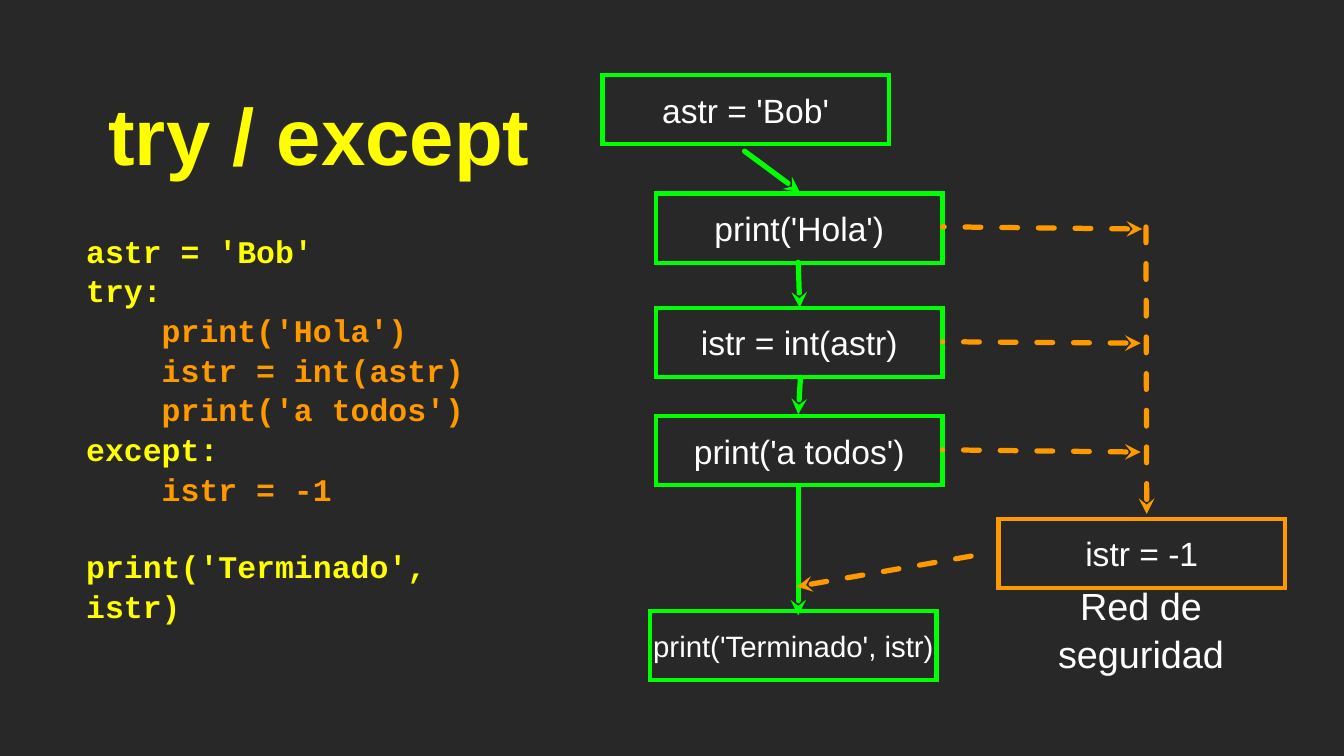
from lxml import etree
from pptx import Presentation
from pptx.dml.color import RGBColor
from pptx.enum.dml import MSO_LINE
from pptx.enum.shapes import MSO_CONNECTOR, MSO_SHAPE
from pptx.enum.text import MSO_ANCHOR, PP_ALIGN
from pptx.oxml.ns import qn
from pptx.util import Inches, Pt

RECT, LINE = MSO_SHAPE.RECTANGLE, MSO_CONNECTOR.STRAIGHT
DASH, MID = MSO_LINE.DASH, MSO_ANCHOR.MIDDLE
LEFT, MIDDLE = PP_ALIGN.LEFT, PP_ALIGN.CENTER

HUES = {"back": "282828", "head": "FFFF00", "flow": "00FF00",
        "net": "FF9900", "text": "FFFFFF"}
WIDE, HIGH = 177.8, 100  # grid columns and rows
STEP = (37.9, 9.2)       # size of every flow chart step

CODE = [
    ("astr = 'Bob'", "head"),
    ("try:", "head"),
    ("    print('Hola')", "net"),
    ("    istr = int(astr)", "net"),
    ("    print('a todos')", "net"),
    ("except:", "head"),
    ("    istr = -1", "net"),
    ("print('Terminado', istr)", "head"),
]


def grid(n):
    """Length of n grid cells, each a tenth of an inch."""
    return Inches(n / 10)


def hue(name):
    return RGBColor.from_string(HUES[name])


def style(para, size, color, align=MIDDLE, face="Arial", bold=False):
    para.alignment = align
    for run in para.runs:
        font = run.font
        font.name, font.size, font.bold = face, Pt(size), bold
        font.color.rgb = hue(color)


def frame(shape, pad=0):
    body = shape.text_frame
    body.word_wrap, body.vertical_anchor = True, MID
    body.margin_left = body.margin_right = grid(pad)
    body.margin_top = body.margin_bottom = grid(pad)
    return body


def label(slide, box, text, size, color, pad=0, bold=False):
    body = frame(slide.shapes.add_textbox(*map(grid, box)), pad)
    body.text = text
    para = body.paragraphs[0]
    para.line_spacing = 1.05
    style(para, size, color, bold=bold)


def step(slide, x, y, text, color, size=32):
    shape = slide.shapes.add_shape(RECT, *map(grid, (x, y, *STEP)))
    shape.shadow.inherit = False
    shape.fill.background()
    shape.line.color.rgb, shape.line.width = hue(color), Pt(4)
    etree.SubElement(shape.line._get_or_add_ln(), qn("a:miter"), lim="800000")
    body = frame(shape)
    body.text = text
    style(body.paragraphs[0], size, "text")


def arrow(slide, x, y, ends, color, dash=None):
    """Line whose arrowhead sits on the first point."""
    x1, y1, x2, y2 = ends
    link = slide.shapes.add_connector(
        LINE, grid(x + x1), grid(y + y1), grid(x + x2), grid(y + y2))
    link.line.color.rgb, link.line.width = hue(color), Pt(5)
    if dash:
        link.line.dash_style = dash
    line = link.line._get_or_add_ln()
    line.set("cap", "rnd")
    etree.SubElement(line, qn("a:headEnd"), type="stealth")
    etree.SubElement(link._element.spPr, qn("a:effectLst"))


def code(slide, box):
    body = frame(slide.shapes.add_textbox(*map(grid, box)))
    body.text = "\n".join(text for text, _ in CODE)
    for para, (_, color) in zip(body.paragraphs, CODE):
        para.line_spacing = 1.05
        style(para, 30, color, LEFT, "Courier New", True)
    # Gap of one line ahead of the final call
    body.paragraphs[-1].space_before = Pt(36)


def flow(slide, x, y):
    # Steps of the normal run
    for dx, dy, text, size in [
            (0, 0, "astr = 'Bob'", 32),
            (7.1, 15.7, "print('Hola')", 32),
            (7.1, 30.8, "istr = int(astr)", 32),
            (7.1, 45.1, "print('a todos')", 32),
            (6.3, 70.9, "print('Terminado', istr)", 28)]:
        step(slide, x + dx, y + dy, text, "flow", size)
    # Arrows from step to step
    for ends in [(26.1, 15.5, 18.8, 10.1), (26.1, 30.8, 25.9, 24.8),
                 (25.9, 44.9, 26.2, 40), (25.9, 71.5, 25.9, 54.5)]:
        arrow(slide, x, y, ends, "flow")


def net(slide, x, y):
    # Except branch and its caption
    step(slide, x + 7.4, y + 39, "istr = -1", "net")
    label(slide, (x + 13.4, y + 50.1, 25.7, 6.8),
          "Red de seguridad", 36, "text")
    # Exits from each step, the drop, and the way back
    for ends in [(26.4, 0.7, 0, 0.4), (26.2, 15.8, 0, 15.6),
                 (26.2, 30.2, 0, 29.9), (27, 38.4, 26.9, 0),
                 (-19.3, 48, 6.4, 43.5)]:
        arrow(slide, x, y, ends, "net", DASH)


def main():
    deck = Presentation()
    deck.slide_width, deck.slide_height = grid(WIDE), grid(HIGH)
    slide = deck.slides.add_slide(deck.slide_layouts[6])
    fill = slide.background.fill
    fill.solid()
    fill.fore_color.rgb = hue("back")
    label(slide, (9.5, 7.6, 65.4, 19.6), "try / except", 76, "head", 0.4, True)
    code(slide, (11.4, 30.5, 56.6, 52))
    flow(slide, 79.7, 9.9)
    net(slide, 124.7, 29.6)
    deck.save("out.pptx")


if __name__ == "__main__":
    main()
